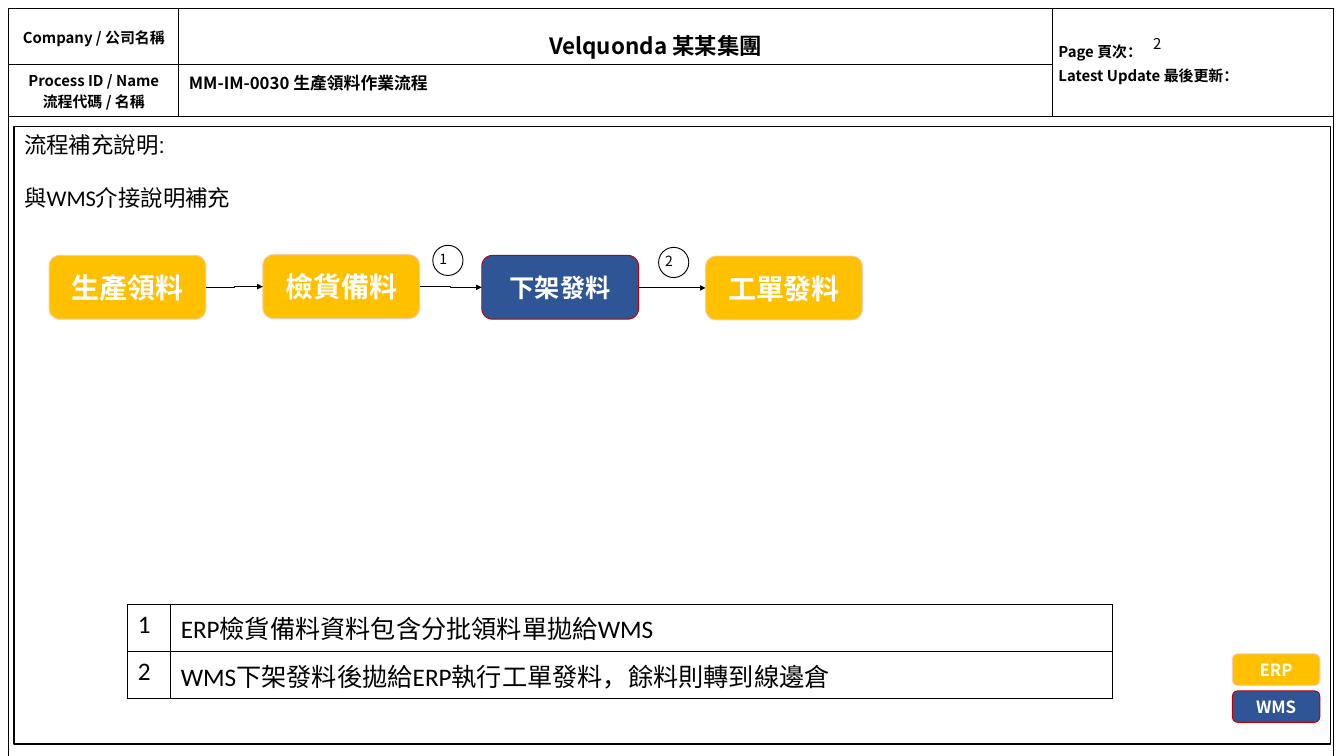
from lxml import etree
from pptx import Presentation
from pptx.dml.color import RGBColor
from pptx.enum.shapes import MSO_CONNECTOR, MSO_SHAPE
from pptx.enum.text import MSO_ANCHOR, MSO_AUTO_SIZE, PP_ALIGN
from pptx.oxml.ns import qn
from pptx.util import Pt

ELBOW = MSO_CONNECTOR.ELBOW
RECTANGLE, ROUNDED, OVAL = MSO_SHAPE.RECTANGLE, MSO_SHAPE.ROUNDED_RECTANGLE, MSO_SHAPE.OVAL
TOP, MIDDLE = MSO_ANCHOR.TOP, MSO_ANCHOR.MIDDLE
LEFT, CENTER = PP_ALIGN.LEFT, PP_ALIGN.CENTER
NO_AUTOFIT = MSO_AUTO_SIZE.NONE

SANS, SANS_TC = "Noto Sans CJK SC", "Noto Sans CJK TC"
BLACK, WHITE = "000000", "FFFFFF"
ERP_COLORS = ("FFC000", "F8CBAD")
WMS_COLORS = ("2F5597", "C00000")
RIGHT_SITE, LEFT_SITE = 3, 1


def color(hex_value):
    return RGBColor.from_string(hex_value)


def add_run(paragraph, text, size, font=SANS, hex_color=BLACK, bold=False):
    run = paragraph.add_run()
    run.text = text
    run.font.name = font
    run.font.size = Pt(size)
    run.font.bold = bold
    run.font.color.rgb = color(hex_color)
    east_asian = font if font in (SANS, SANS_TC) else SANS_TC
    run.font._element.find(qn("a:latin")).addnext(
        etree.Element(qn("a:ea"), typeface=east_asian))


def set_frame(frame, horizontal, vertical, anchor=TOP):
    """Set insets, anchor and wrapping of a text frame."""
    frame.word_wrap = True
    frame.auto_size = NO_AUTOFIT
    frame.margin_left = frame.margin_right = Pt(horizontal)
    frame.margin_top = frame.margin_bottom = Pt(vertical)
    frame.vertical_anchor = anchor


def add_panel(slide, kind, box, fill, line, width=1):
    shape = slide.shapes.add_shape(kind, *map(Pt, box))
    shape.shadow.inherit = False
    if fill:
        shape.fill.solid()
        shape.fill.fore_color.rgb = color(fill)
    else:
        shape.fill.background()
    shape.line.color.rgb = color(line)
    shape.line.width = Pt(width)
    return shape


def add_label(slide, box, text, size):
    frame = slide.shapes.add_textbox(*map(Pt, box)).text_frame
    set_frame(frame, 7.2, 3.6)
    add_run(frame.paragraphs[0], text, size)


def add_system_box(slide, box, text, size, colors):
    shape = add_panel(slide, ROUNDED, box, *colors)
    set_frame(shape.text_frame, 10.8, 5, MIDDLE)
    paragraph = shape.text_frame.paragraphs[0]
    paragraph.alignment = CENTER
    add_run(paragraph, text, size, hex_color=WHITE, bold=True)
    return shape


def add_grid(slide, box, widths, heights, insets, fill=None):
    """Add a table with thin black borders on every cell."""
    frame = slide.shapes.add_table(len(heights), len(widths), *map(Pt, box))
    table = frame.table
    table.first_row = table.horz_banding = False
    for column, width in zip(table.columns, widths):
        column.width = Pt(width)
    for row, height in zip(table.rows, heights):
        row.height = Pt(height)
    for cell in table.iter_cells():
        cell.margin_left = cell.margin_right = Pt(insets[0])
        cell.margin_top = cell.margin_bottom = Pt(insets[1])
        properties = cell._tc.get_or_add_tcPr()
        for side in ("a:lnL", "a:lnR", "a:lnT", "a:lnB"):
            border = etree.SubElement(properties, qn(side), w=str(Pt(0.96)))
            solid = etree.SubElement(border, qn("a:solidFill"))
            etree.SubElement(solid, qn("a:srgbClr"), val=BLACK)
        if fill:
            cell.fill.solid()
            cell.fill.fore_color.rgb = color(fill)
        else:
            cell.fill.background()
    return table


def fill_header_cell(cell, lines, alignment, size=16, anchor=MIDDLE):
    cell.vertical_anchor = anchor
    frame = cell.text_frame
    for index, line in enumerate(lines):
        paragraph = frame.add_paragraph() if index else frame.paragraphs[0]
        paragraph.alignment = alignment
        add_run(paragraph, line, size, SANS_TC, bold=True)
    return frame.paragraphs


def add_header(slide, left, top):
    """Add the page frame with its header cells, title and page number."""
    table = add_grid(slide, (left, top, 1419.1, 790.6), (182.2, 936, 301),
                     (49, 47.5, 692.6), (6.5, 3.6), WHITE)
    table.cell(0, 2).merge(table.cell(1, 2))
    table.cell(2, 0).merge(table.cell(2, 2))
    fill_header_cell(table.cell(0, 0), ["Company / 公司名稱"], CENTER)
    fill_header_cell(table.cell(1, 0), ["Process ID / Name", "流程代碼 / 名稱"], CENTER)
    company = table.cell(0, 1)
    company.margin_left = Pt(92)
    fill_header_cell(company, ["Velquonda 某某集團"], CENTER, 24, TOP)[0].line_spacing = 1.5
    update = fill_header_cell(table.cell(0, 2), ["Page 頁次：", "Latest Update 最後更新："], LEFT)
    update[1].space_before = Pt(3)

    title = slide.shapes.title
    title.left, title.top = Pt(left + 182.2), Pt(top + 64)
    title.width, title.height = Pt(568), Pt(32.4)
    set_frame(title.text_frame, 10.8, 5)
    paragraph = title.text_frame.paragraphs[0]
    paragraph.alignment = LEFT
    paragraph.line_spacing = 1.0
    add_run(paragraph, "MM-IM-0030 生產領料作業流程", 18, bold=True)
    slide.shapes._spTree.append(title._element)  # in front of the table
    add_label(slide, (left + 1219, top + 23.8, 43.2, 26.6), "2", 16)


def add_description(slide, box):
    frame = add_panel(slide, RECTANGLE, box, None, BLACK, 1.5).text_frame
    set_frame(frame, 10.8, 5)
    first, second = frame.paragraphs[0], frame.add_paragraph()
    first.alignment = second.alignment = LEFT
    add_run(first, "流程補充說明:", 24, "Arial")
    second.space_before = Pt(28)
    add_run(second, "與WMS介接說明補充", 24, "Calibri")


def connect(slide, start, end):
    connector = slide.shapes.add_connector(ELBOW, 0, 0, 0, 0)
    connector.begin_connect(start, RIGHT_SITE)
    connector.end_connect(end, LEFT_SITE)
    connector.line.color.rgb = color(BLACK)
    connector.line.width = Pt(1)
    line = connector.line._get_or_add_ln()
    etree.SubElement(line, qn("a:tailEnd"), type="triangle")
    etree.SubElement(connector._element.spPr, qn("a:effectLst"))


def add_flow(slide, left, top):
    steps = [(0, 0.7, "生產領料", 30, ERP_COLORS), (229, 0, "檢貨備料", 30, ERP_COLORS),
             (463.6, 0.7, "下架發料", 27, WMS_COLORS), (703.4, 1.4, "工單發料", 30, ERP_COLORS)]
    boxes = [add_system_box(slide, (left + x, top + y, 168, 68.4), text, size, colors)
             for x, y, text, size, colors in steps]
    for start, end in zip(boxes, boxes[1:]):
        connect(slide, start, end)
    for number, x, y in (("1", 411.1, -10.1), ("2", 653, -7.9)):
        add_panel(slide, OVAL, (left + x, top + y, 32.4, 32.4), WHITE, BLACK)
        add_label(slide, (left + x, top + y + 2.5, 41.8, 25.2), number, 15)


def add_notes_table(slide, left, top):
    notes = ["ERP檢貨備料資料包含分批領料單拋給WMS",
             "WMS下架發料後拋給ERP執行工單發料，餘料則轉到線邊倉"]
    table = add_grid(slide, (left, top, 1054.8, 87.8), (46.1, 1008.7), (43.9, 43.9), (10.8, 5.8))
    for row, note in enumerate(notes):
        for column, text in enumerate((str(row + 1), note)):
            paragraph = table.cell(row, column).text_frame.paragraphs[0]
            add_run(paragraph, text, 27, "Calibri")


def add_legend(slide, left, top):
    for index, (name, colors) in enumerate((("ERP", ERP_COLORS), ("WMS", WMS_COLORS))):
        add_system_box(slide, (left, top + index * 39.6, 93.6, 33.8), name, 18, colors)


def main():
    presentation = Presentation()
    presentation.slide_width, presentation.slide_height = Pt(1440), Pt(810)
    title_only = presentation.slide_layouts[5]
    slide = presentation.slides.add_slide(title_only)
    add_header(slide, 9.4, 9.4)
    add_description(slide, (15.1, 135.4, 1410.5, 661.7))
    add_legend(slide, 1320.5, 700.6)
    add_flow(slide, 52.6, 272.9)
    add_notes_table(slide, 136.8, 647.3)
    presentation.save("out.pptx")


if __name__ == "__main__":
    main()
